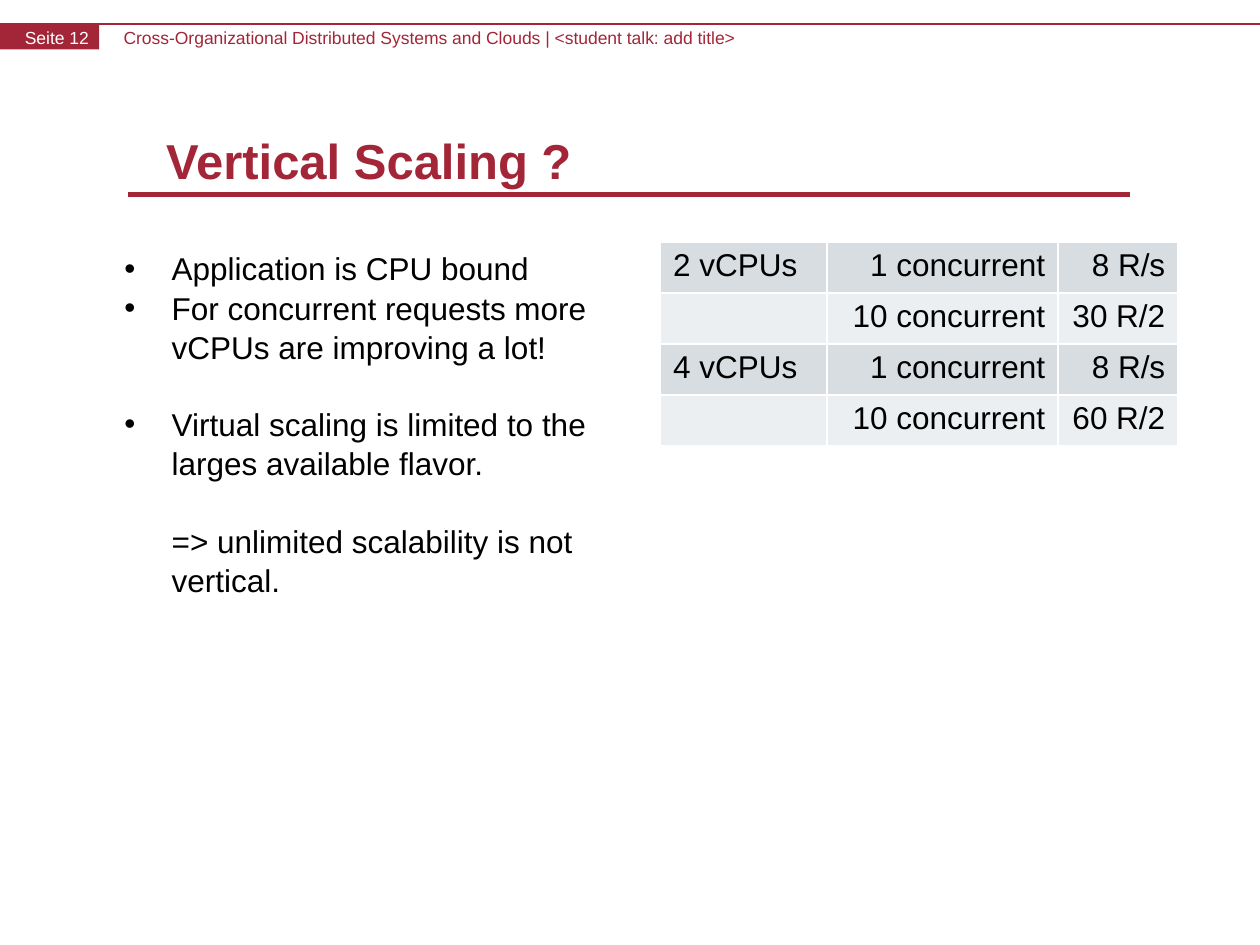
from lxml import etree
from pptx import Presentation
from pptx.dml.color import RGBColor
from pptx.enum.shapes import MSO_CONNECTOR as Line, MSO_SHAPE as Shape
from pptx.enum.text import MSO_ANCHOR as Anchor, PP_ALIGN as Align
from pptx.oxml import parse_xml
from pptx.oxml.ns import nsdecls, qn
from pptx.util import Pt

RED = RGBColor(0xA3, 0x26, 0x38)
WHITE = RGBColor(0xFF, 0xFF, 0xFF)
BLACK = RGBColor(0, 0, 0)
BANDS = [RGBColor(0xD7, 0xDD, 0xE1), RGBColor(0xEC, 0xEF, 0xF1)]


def style(para, size, color, bold=False):
    font = para.font
    font.name, font.size, font.bold = "Arial", Pt(size), bold
    font.color.rgb = color


prs = Presentation()
prs.slide_width, prs.slide_height = Pt(720), Pt(540)
slide = prs.slides.add_slide(prs.slide_layouts[5])
shapes = slide.shapes

# Header rule and title rule
for left, right, y, width in [(0, 720, 13.7, 0.75), (73, 646, 111.2, 3)]:
    rule = shapes.add_connector(Line.STRAIGHT, Pt(left), Pt(y), Pt(right), Pt(y))
    rule.line.color.rgb = RED
    rule.line.width = Pt(width)
    etree.SubElement(rule._element.spPr, qn("a:effectLst"))

# Page number on its red block, then the running header
block = shapes.add_shape(Shape.RECTANGLE, 0, Pt(14), Pt(56.7), Pt(14.2))
block.shadow.inherit = False
block.fill.solid()
block.fill.fore_color.rgb = RED
block.line.fill.background()

course = "Cross-Organizational Distributed Systems and Clouds | <student talk: add title>"
for text, left, width, color in [("Seite 12", 14.2, 44.6, WHITE), (course, 70.6, 475, RED)]:
    box = shapes.add_textbox(Pt(left), Pt(15.2), Pt(width), Pt(12.2))
    frame = box.text_frame
    frame.word_wrap = True
    frame.margin_left = frame.margin_right = frame.margin_top = frame.margin_bottom = 0
    frame.text = text
    style(frame.paragraphs[0], 10, color)

# Title
title = shapes.title
title.left, title.top, title.width, title.height = Pt(87.8), Pt(59.8), Pt(614), Pt(51.8)
frame = title.text_frame
frame.text = "Vertical Scaling ?"
frame.vertical_anchor = Anchor.BOTTOM
frame.paragraphs[0].alignment = Align.LEFT
style(frame.paragraphs[0], 28, RED, True)

# Points: text, bullet shown, space before
points = [
    ("Application is CPU bound", True, 0),
    ("For concurrent requests more \vvCPUs are improving a lot!", True, 0),
    ("Virtual scaling is limited to the larges available flavor.", True, 21.6),
    ("=> unlimited scalability is not vertical.", False, 21.6),
]
box = shapes.add_textbox(Pt(64), Pt(138.2), Pt(313), Pt(288))
frame = box.text_frame
frame.word_wrap = True
for i, (text, bullet, gap) in enumerate(points):
    para = frame.add_paragraph() if i else frame.paragraphs[0]
    para.text = text
    para.space_before = Pt(gap)
    para.line_spacing = 1.04
    style(para, 18, BLACK)
    props = para._p.get_or_add_pPr()
    props.set("marL", str(Pt(27)))
    props.set("indent", str(Pt(-27) if bullet else 0))
    if bullet:
        etree.SubElement(props, qn("a:buFont")).set("typeface", "Arial")
        etree.SubElement(props, qn("a:buChar")).set("char", "•")
        props.append(props.find(qn("a:defRPr")))

# Throughput table
rows = [
    ("2 vCPUs", "1 concurrent", "8 R/s"),
    ("", "10 concurrent", "30 R/2"),
    ("4 vCPUs", "1 concurrent", "8 R/s"),
    ("", "10 concurrent", "60 R/2"),
]
widths = [95.2, 131.8, 68.6]
table = shapes.add_table(4, 3, Pt(377.5), Pt(138.2), Pt(sum(widths)), Pt(116.8)).table
for col, width in zip(table.columns, widths):
    col.width = Pt(width)
for r, row in enumerate(rows):
    table.rows[r].height = Pt(29.2)
    for c, text in enumerate(row):
        cell = table.cell(r, c)
        cell.text = text
        cell.fill.solid()
        cell.fill.fore_color.rgb = BANDS[r % 2]
        para = cell.text_frame.paragraphs[0]
        para.alignment = Align.RIGHT if c else Align.LEFT
        style(para, 18, BLACK)
        props = cell._tc.get_or_add_tcPr()
        for i, side in enumerate("LRTB"):
            props.insert(i, parse_xml(
                f'<a:ln{side} {nsdecls("a")} w="{Pt(0.96)}"><a:solidFill>'
                f'<a:srgbClr val="{WHITE}"/></a:solidFill></a:ln{side}>'))

prs.save("out.pptx")
